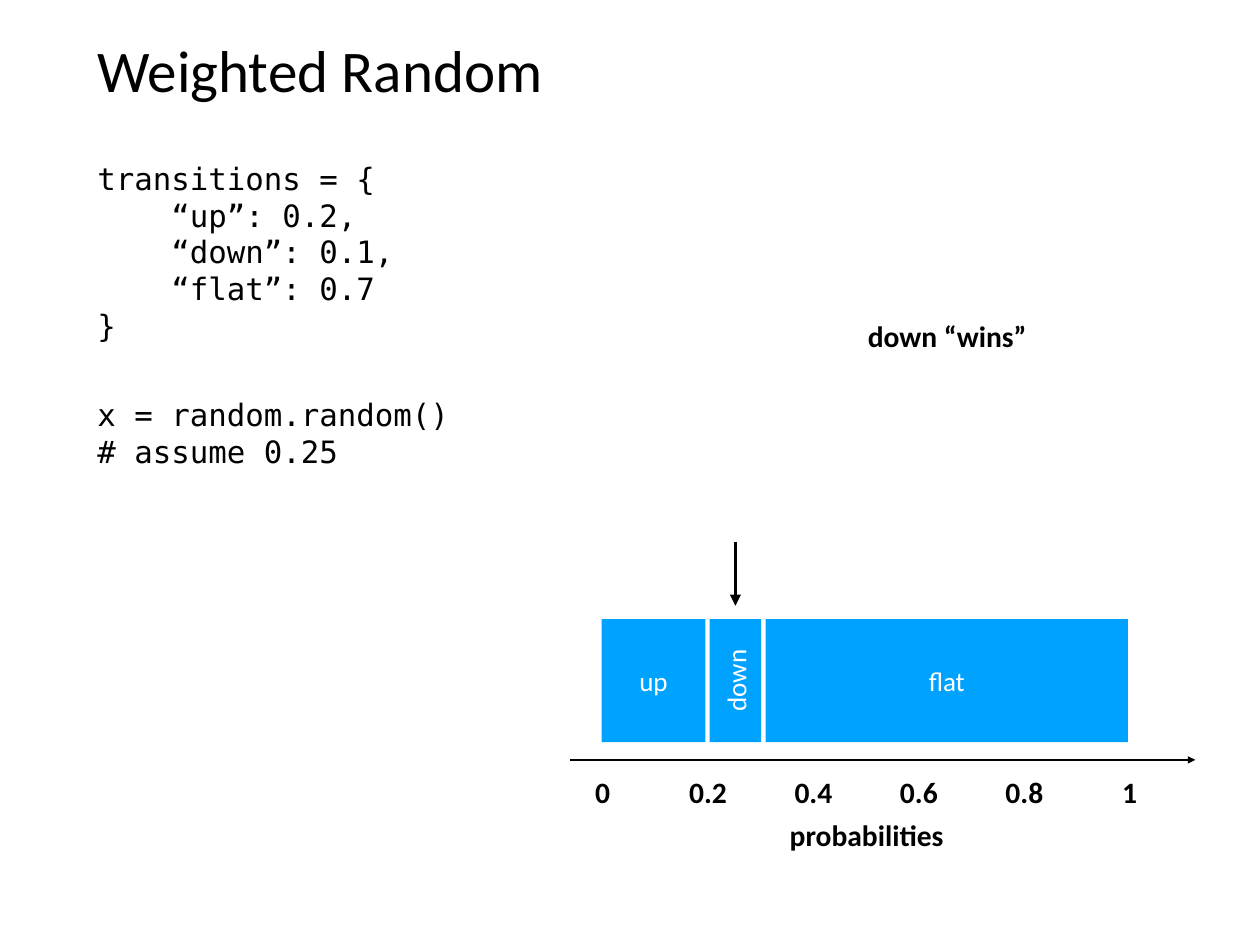
"""Build the Weighted Random slide."""
from lxml.etree import SubElement
from pptx import Presentation
from pptx.dml.color import RGBColor
from pptx.enum.shapes import MSO_CONNECTOR as Line, MSO_SHAPE as Shape
from pptx.enum.text import MSO_ANCHOR as Anchor, PP_ALIGN as Align
from pptx.oxml.ns import qn
from pptx.util import Inches, Pt


def color(code):
    return RGBColor.from_string(code)


def write(shape, lines, size, ink="000000", bold=False, face="Calibri",
          align=Align.CENTER, anchor=Anchor.MIDDLE, wrap=False):
    frame = shape.text_frame
    frame.word_wrap = wrap
    frame.vertical_anchor = anchor
    frame.margin_left = frame.margin_right = Inches(0.06)
    frame.margin_top = frame.margin_bottom = Inches(0.06)
    for i, line in enumerate(lines):
        para = frame.add_paragraph() if i else frame.paragraphs[0]
        para.alignment = align
        run = para.add_run()
        run.text = line
        font = run.font
        font.name, font.size, font.bold = face, Pt(size), bold
        font.color.rgb = color(ink)
    return frame


deck = Presentation()
deck.slide_width, deck.slide_height = Inches(14.22), Inches(10.67)
slide = deck.slides.add_slide(deck.slide_layouts[5])
shapes = slide.shapes

title = shapes.title
title.left, title.top = Inches(1.04), Inches(0.28)
title.width, title.height = Inches(12.14), Inches(0.99)
write(title, ["Weighted Random"], 48, align=Align.LEFT, wrap=True)

code = [
    "transitions = {",
    "    “up”: 0.2,",
    "    “down”: 0.1,",
    "    “flat”: 0.7",
    "}",
    "x = random.random()",
    "# assume 0.25",
]
box = shapes.add_textbox(Inches(1.04), Inches(1.74), Inches(12.62), Inches(5.47))
frame = write(box, code, 25, face="DejaVu Sans Mono", align=Align.LEFT,
              anchor=Anchor.TOP, wrap=True)
for para in frame.paragraphs:
    para.line_spacing = Pt(30)
frame.paragraphs[5].space_before = Pt(42)

left, top, high, gap = 6.79, 6.99, 1.39, 0.05
for name, wide in [("up", 1.17), ("down", 0.58), ("flat", 4.09)]:
    bar = shapes.add_shape(Shape.RECTANGLE, Inches(left), Inches(top),
                           Inches(wide), Inches(high))
    if name == "down":
        bar.left = Inches(left + (wide - high) / 2)
        bar.top = Inches(top + (high - wide) / 2)
        bar.width, bar.height = Inches(high), Inches(wide)
        bar.rotation = 270
    bar.shadow.inherit = False
    bar.fill.solid()
    bar.fill.fore_color.rgb = color("00A2FF")
    bar.line.fill.background()
    write(bar, [name], 22, ink="FFFFFF", wrap=True)
    left += wide + gap

for x1, y1, x2, y2, weight in [(6.43, 8.58, 13.49, 8.58, 2),
                               (8.3, 6.12, 8.3, 6.84, 3)]:
    arrow = shapes.add_connector(Line.STRAIGHT, Inches(x1), Inches(y1),
                                 Inches(x2), Inches(y2))
    arrow.line.color.rgb = color("000000")
    arrow.line.width = Pt(weight)
    SubElement(arrow.line._get_or_add_ln(), qn("a:tailEnd"), type="triangle")
    SubElement(arrow._element.spPr, qn("a:effectLst"))

ticks = ["0", "0.2", "0.4", "0.6", "0.8", "1"]
labels = [(tick, 6.8 + 1.19 * i, 8.69, 0.61) for i, tick in enumerate(ticks)]
labels += [("probabilities", 9.78, 9.17, 2.25), ("down “wins”", 10.69, 3.54, 2.28)]
for text, mid, top, wide in labels:
    box = shapes.add_textbox(Inches(mid - wide / 2), Inches(top),
                             Inches(wide), Inches(0.5))
    write(box, [text], 24, bold=True)

deck.save("out.pptx")
